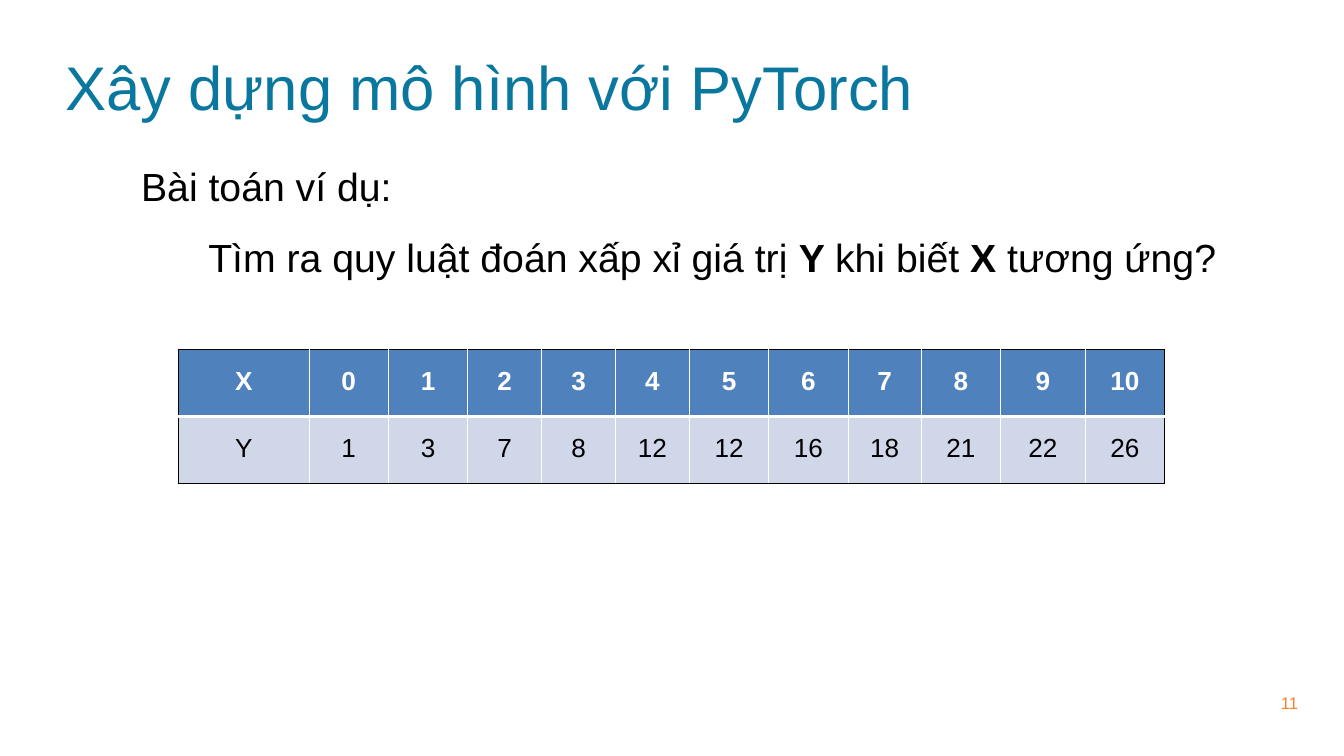
import pptx
import pptx.util
import pptx.dml.color
import pptx.enum.text
import pptx.oxml.ns
import lxml.etree

Inches = pptx.util.Inches
Pt = pptx.util.Pt
align = pptx.enum.text.PP_ALIGN

# Content
TITLE = "Xây dựng mô hình với PyTorch"
BODY = [  # left indent, space before, runs (text, bold)
    (0.01, 0, [("Bài toán ví dụ:", False)]),
    (1.01, 25.6, [
        ("Tìm ra quy luật đoán xấp xỉ giá trị ", False), ("Y ", True),
        ("khi biết ", False), ("X ", True), ("tương ứng?", False)]),
]
ROWS = [
    ["X", 0, 1, 2, 3, 4, 5, 6, 7, 8, 9, 10],
    ["Y", 1, 3, 7, 8, 12, 12, 16, 18, 21, 22, 26],
]
WIDTHS = [1.94, 1.18, 1.18, 1.1, 1.1, 1.1, 1.18, 1.18, 1.09, 1.18, 1.26, 1.18]
PAGE = "11"
COLORS = {"title": "0A779F", "text": "000000", "page": "F68533",
          "head": "4F81BC", "row": "D0D7E8", "white": "FFFFFF"}
FONT = "Arial"


def rgb(name):
    return pptx.dml.color.RGBColor.from_string(COLORS[name])


def place(shape, left, top, width, height):
    shape.left, shape.top = Inches(left), Inches(top)
    shape.width, shape.height = Inches(width), Inches(height)


def setup(frame, top=0):
    frame.margin_left = frame.margin_right = frame.margin_bottom = 0
    frame.margin_top = Inches(top)
    frame.word_wrap = True
    frame.auto_size = pptx.enum.text.MSO_AUTO_SIZE.NONE
    frame.vertical_anchor = pptx.enum.text.MSO_ANCHOR.TOP


def write(para, text, size, color, bold=False):
    run = para.add_run()
    run.text = text
    run.font.name, run.font.size, run.font.bold = FONT, Pt(size), bold
    run.font.color.rgb = rgb(color)


def add_node(parent, tag, **attrs):
    return lxml.etree.SubElement(parent, pptx.oxml.ns.qn(tag), **attrs)


def border(cell, sides):
    """Draw left, right, top and bottom lines, ahead of the cell fill."""
    props = cell._tc.get_or_add_tcPr()
    for i, (side, (color, width)) in enumerate(zip("LRTB", sides)):
        line = add_node(props, "a:ln" + side, w=str(Pt(width)))
        fill = add_node(line, "a:solidFill")
        add_node(fill, "a:srgbClr", val=COLORS[color])
        props.insert(i, line)


deck = pptx.Presentation()
deck.slide_width, deck.slide_height = Inches(20), Inches(11.25)
slide = deck.slides.add_slide(deck.slide_layouts[1])

# Title
title = slide.shapes.title
place(title, 0.97, 0.72, 16.76, 1.13)
setup(title.text_frame, 0.01)
para = title.text_frame.paragraphs[0]
para.alignment = align.LEFT
write(para, TITLE, 66, "title")

# Problem statement
body = slide.placeholders[1]
place(body, 2.09, 2.05, 16.39, 2.15)
frame = body.text_frame
setup(frame, 0.37)
for i, (left, before, runs) in enumerate(BODY):
    para = frame.add_paragraph() if i else frame.paragraphs[0]
    para.space_before = Pt(before)
    props = para._p.get_or_add_pPr()
    props.set("marL", str(Inches(left)))
    props.set("indent", "0")
    add_node(props, "a:buNone")
    for text, bold in runs:
        write(para, text, 42, "text", bold)

# Table of X and Y values
table = slide.shapes.add_table(
    len(ROWS), len(WIDTHS), Inches(2.66), Inches(5.2),
    Inches(sum(WIDTHS)), Inches(2)).table
table.horz_banding = False
for col, width in zip(table.columns, WIDTHS):
    col.width = Inches(width)
edge, inner, rule = ("text", 1), ("white", 1), ("white", 3)
last = len(WIDTHS) - 1
for r, row in enumerate(ROWS):
    table.rows[r].height = Inches(1)
    head = r == 0
    for c, value in enumerate(row):
        cell = table.cell(r, c)
        cell.margin_left = cell.margin_right = cell.margin_bottom = 0
        cell.margin_top = Inches(0.26)
        cell.fill.solid()
        cell.fill.fore_color.rgb = rgb("head" if head else "row")
        border(cell, [edge if c == 0 else inner,
                      edge if c == last else inner,
                      edge if head else rule,
                      rule if head else edge])
        para = cell.text_frame.paragraphs[0]
        para.alignment = align.CENTER
        write(para, str(value), 28, "white" if head else "text", head)

# Page number
page = slide.shapes.add_textbox(
    Inches(19.02), Inches(10.26), Inches(0.37), Inches(0.31))
setup(page.text_frame)
para = page.text_frame.paragraphs[0]
para.line_spacing = 1.16
para._p.get_or_add_pPr().set("marL", str(Inches(0.04)))
write(para, PAGE, 18, "page")

deck.save("out.pptx")
